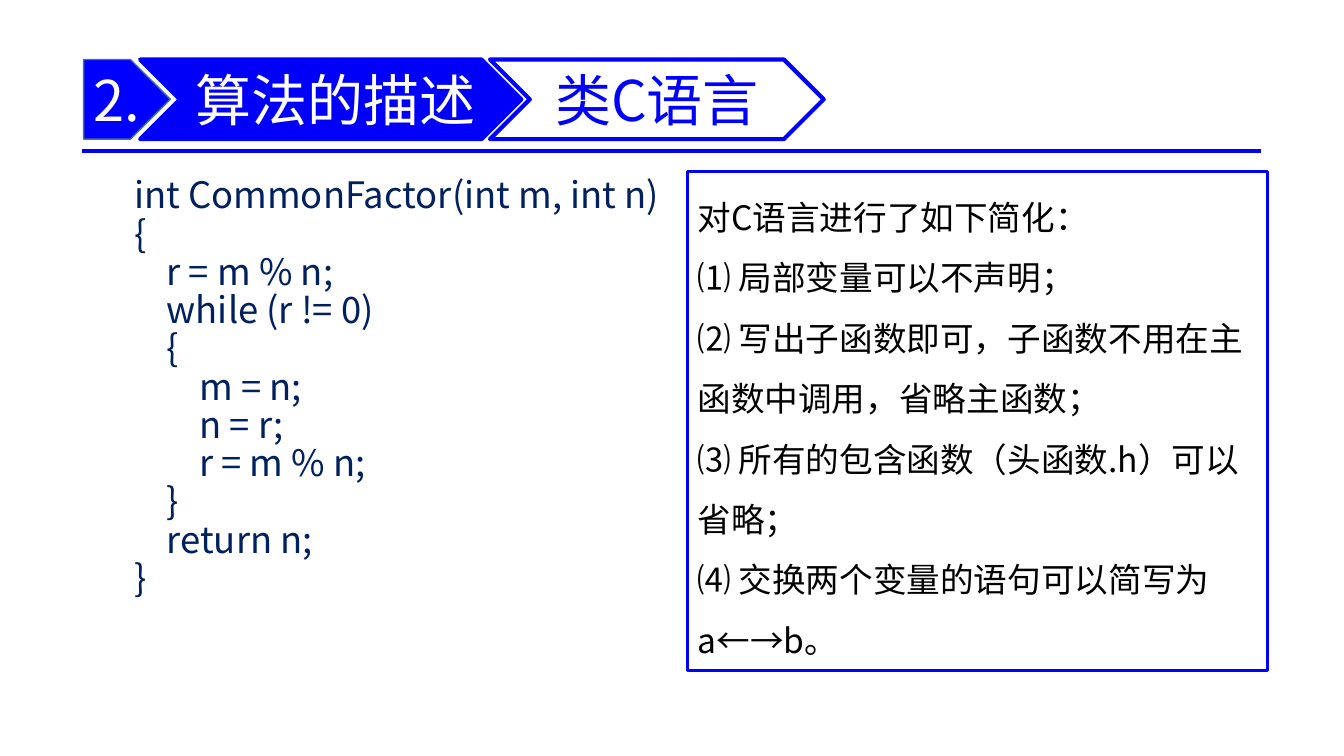
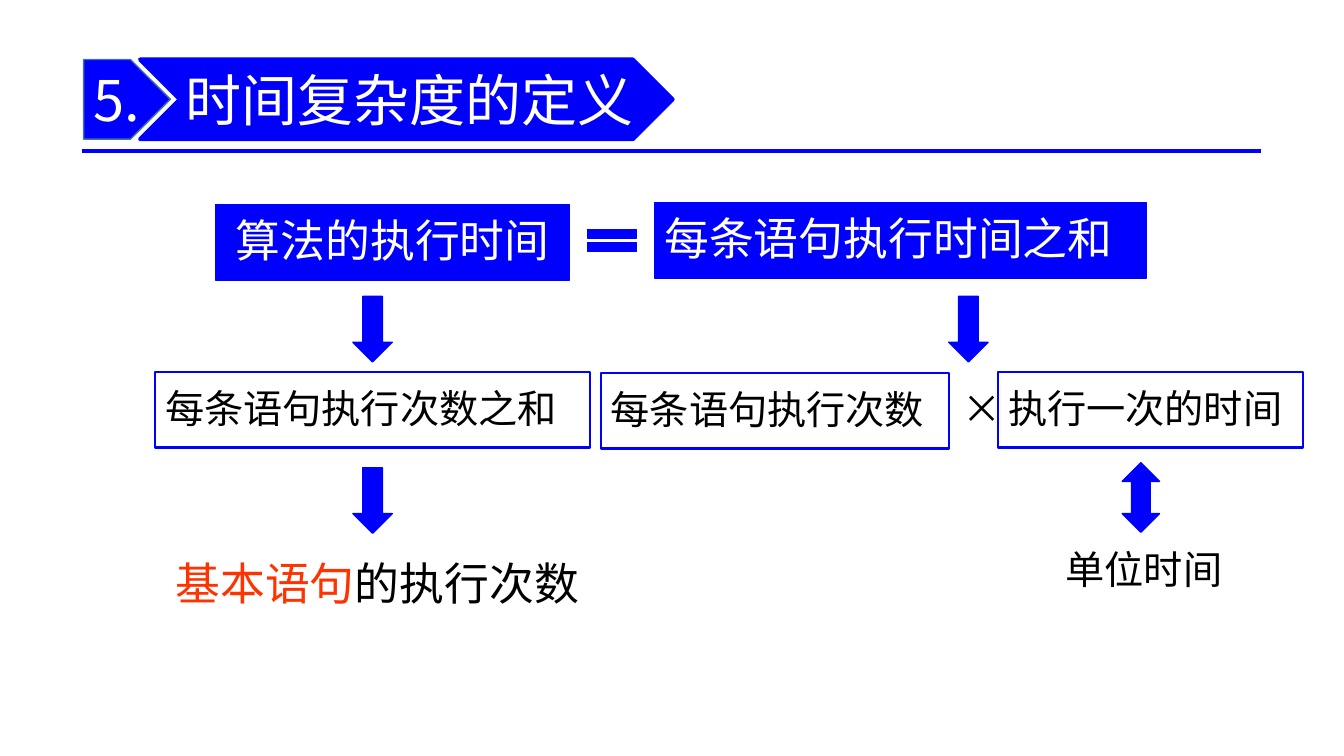
from lxml.etree import SubElement
from pptx import Presentation
from pptx.dml.color import RGBColor
from pptx.enum.shapes import MSO_CONNECTOR, MSO_SHAPE
from pptx.enum.text import MSO_ANCHOR, MSO_AUTO_SIZE, PP_ALIGN
from pptx.oxml.ns import qn
from pptx.util import Pt

PX = 9144  # EMU per px, 100 px to the inch
FONT = "Noto Sans CJK SC"
BLUE = RGBColor(0x00, 0x00, 0xFF)
BAND_BLUE = RGBColor(0x00, 0x00, 0xFA)
STEEL = RGBColor(0x43, 0x73, 0x9E)
NAVY = RGBColor(0x00, 0x20, 0x60)
RED = RGBColor(0xFF, 0x33, 0x00)
BLACK = RGBColor(0x00, 0x00, 0x00)
WHITE = RGBColor(0xFF, 0xFF, 0xFF)

HEADER_BOX = (81, 59, 1170, 91)
CODE_BOX = (123, 178, 583, 527)
NOTES_BOX = (682, 170, 575, 495)
DIAGRAM_BOX = (154, 201, 1138, 409)

CODE = """int CommonFactor(int m, int n)
{
    r = m % n;
    while (r != 0)
    {
        m = n;
        n = r;
        r = m % n;
    }
    return n;
}"""

NOTES = [
    "对C语言进行了如下简化：",
    "⑴ 局部变量可以不声明；",
    "⑵ 写出子函数即可，子函数不用在主函数中调用，省略主函数；",
    "⑶ 所有的包含函数（头函数.h）可以省略；",
    "⑷ 交换两个变量的语句可以简写为a←→b。",
]


def emu(*lengths):
    return [length * PX for length in lengths]


def place(shape, left, top, width, height):
    shape.left, shape.top, shape.width, shape.height = emu(left, top, width, height)


def style_paragraph(paragraph, size, color, align=PP_ALIGN.LEFT, line_spacing=None):
    paragraph.alignment = align
    paragraph.line_spacing = line_spacing
    font = paragraph.font
    font.size, font.name = Pt(size), FONT
    font.color.rgb = color
    properties = paragraph._p.get_or_add_pPr().find(qn("a:defRPr"))
    SubElement(properties, qn("a:ea"), typeface=FONT)


def write(shape, lines, size, color, align=PP_ALIGN.LEFT, anchor=MSO_ANCHOR.MIDDLE,
          line_spacing=None, margins=(10, 5, 10, 5)):
    frame = shape.text_frame
    frame.word_wrap = True
    frame.auto_size = MSO_AUTO_SIZE.NONE
    frame.vertical_anchor = anchor
    (frame.margin_left, frame.margin_top,
     frame.margin_right, frame.margin_bottom) = emu(*margins)
    frame.text = "\n".join(lines)
    for paragraph in frame.paragraphs:
        style_paragraph(paragraph, size, color, align, line_spacing)


def add_figure(slide, kind, box, fill=BLUE, line=BLUE, line_width=1):
    shape = slide.shapes.add_shape(kind, *emu(*box))
    shape.shadow.inherit = False
    shape.fill.solid()
    shape.fill.fore_color.rgb = fill
    shape.line.color.rgb = line
    shape.line.width = Pt(line_width)
    return shape


def add_header(slide, box, number, title, band_width, title_span, title_align, subtitle=None):
    left, top, width, height = box

    # Rule under the header
    rule = slide.shapes.add_connector(
        MSO_CONNECTOR.STRAIGHT, *emu(left, top + height, left + width, top + height))
    rule.line.color.rgb = BLUE
    rule.line.width = Pt(3)
    SubElement(rule._element.spPr, qn("a:effectLst"))

    # Section number and title band
    plate = add_figure(slide, MSO_SHAPE.PENTAGON, (left + 2, top, 86, 79), line=STEEL)
    write(plate, [number], 40, WHITE, margins=(10, 5, 0, 5))
    add_figure(slide, MSO_SHAPE.CHEVRON, (left + 58, top, band_width, 79), BAND_BLUE, BLUE, 3)

    # Title text in front of the band
    heading = slide.shapes.title
    slide.shapes._spTree.append(heading._element)
    offset, title_width = title_span
    place(heading, left + offset, top - 15, title_width, 108)
    write(heading, [title], 40, WHITE, title_align, margins=(4, 2, 0, 2))

    # Optional second band
    if subtitle:
        band = add_figure(slide, MSO_SHAPE.CHEVRON,
                          (left + 27 + band_width, top, 331, 79), WHITE, BLUE, 3)
        write(band, [subtitle], 40, BLUE, PP_ALIGN.CENTER, margins=(0, 5, 0, 5))


def add_code(placeholder, box):
    place(placeholder, *box)
    placeholder.text_frame.text = CODE
    write(placeholder, CODE.split("\n"), 26, NAVY, anchor=MSO_ANCHOR.TOP, line_spacing=0.7)
    for index, paragraph in enumerate(placeholder.text_frame.paragraphs):
        paragraph.space_before = Pt(5.5 if index else 0)
        properties = paragraph._p.get_or_add_pPr()
        properties.set("marL", "0")
        properties.set("indent", "0")
        bullet = SubElement(properties, qn("a:buNone"))
        properties.find(qn("a:defRPr")).addprevious(bullet)


def add_notes(slide, box):
    panel = add_figure(slide, MSO_SHAPE.RECTANGLE, box, WHITE, BLUE, 2.25)
    write(panel, NOTES, 24, BLACK, anchor=MSO_ANCHOR.TOP, line_spacing=1.5)


def add_diagram(slide, box):
    left, top = box[:2]

    def inside(x, y, width, height):
        return left + x, top + y, width, height

    def add_label(area, text, size, anchor=MSO_ANCHOR.TOP, margins=(0, 5, 0, 5)):
        label = slide.shapes.add_textbox(*emu(*inside(*area)))
        write(label, [text], size, BLACK, anchor=anchor, line_spacing=0.95, margins=margins)
        return label.text_frame.paragraphs[0]

    # Top row: the equation
    for area, text, align in [
        ((60, 2, 351, 75), "算法的执行时间", PP_ALIGN.CENTER),
        ((495, 0, 488, 75), "每条语句执行时间之和", PP_ALIGN.LEFT),
    ]:
        term = add_figure(slide, MSO_SHAPE.RECTANGLE, inside(*area))
        write(term, [text], 32, WHITE, align, line_spacing=0.95)
    add_figure(slide, MSO_SHAPE.MATH_EQUAL, inside(420, 19, 66, 37))

    # Arrows
    for x, y in [(196, 93), (787, 93), (196, 263)]:
        add_figure(slide, MSO_SHAPE.DOWN_ARROW, inside(x, y, 39, 65))
    add_figure(slide, MSO_SHAPE.UP_DOWN_ARROW, inside(959, 258, 37, 69))

    # Middle row: what each term becomes
    for x, y, width, text in [
        (0, 168, 431, "每条语句执行次数之和"),
        (442, 169, 345, "每条语句执行次数"),
        (836, 168, 302, "执行一次的时间"),
    ]:
        factor = add_figure(slide, MSO_SHAPE.RECTANGLE, inside(x, y, width, 75), WHITE, BLUE, 1.5)
        write(factor, [text], 28, BLACK, line_spacing=0.95)
    add_label((791, 179, 51, 53), "×", 28, MSO_ANCHOR.MIDDLE, (10, 5, 10, 5))

    # Bottom row: conclusions
    add_label((903, 338, 167, 55), "单位时间", 28)
    conclusion = add_label((20, 349, 411, 61), "基本语句", 32)
    conclusion.runs[0].font.color.rgb = RED
    conclusion.add_run().text = "的执行次数"


def build_language_slide(presentation):
    slide = presentation.slides.add_slide(presentation.slide_layouts[1])
    add_code(slide.placeholders[1], CODE_BOX)
    add_notes(slide, NOTES_BOX)
    add_header(slide, HEADER_BOX, "2.", "算法的描述", 378, (88, 323),
               PP_ALIGN.CENTER, "类C语言")


def build_complexity_slide(presentation):
    slide = presentation.slides.add_slide(presentation.slide_layouts[5])
    add_header(slide, HEADER_BOX, "5.", "时间复杂度的定义", 528, (99, 450), PP_ALIGN.LEFT)
    add_diagram(slide, DIAGRAM_BOX)


def main():
    presentation = Presentation()
    presentation.slide_width, presentation.slide_height = emu(1333, 750)
    build_language_slide(presentation)
    build_complexity_slide(presentation)
    presentation.save("out.pptx")


if __name__ == "__main__":
    main()
